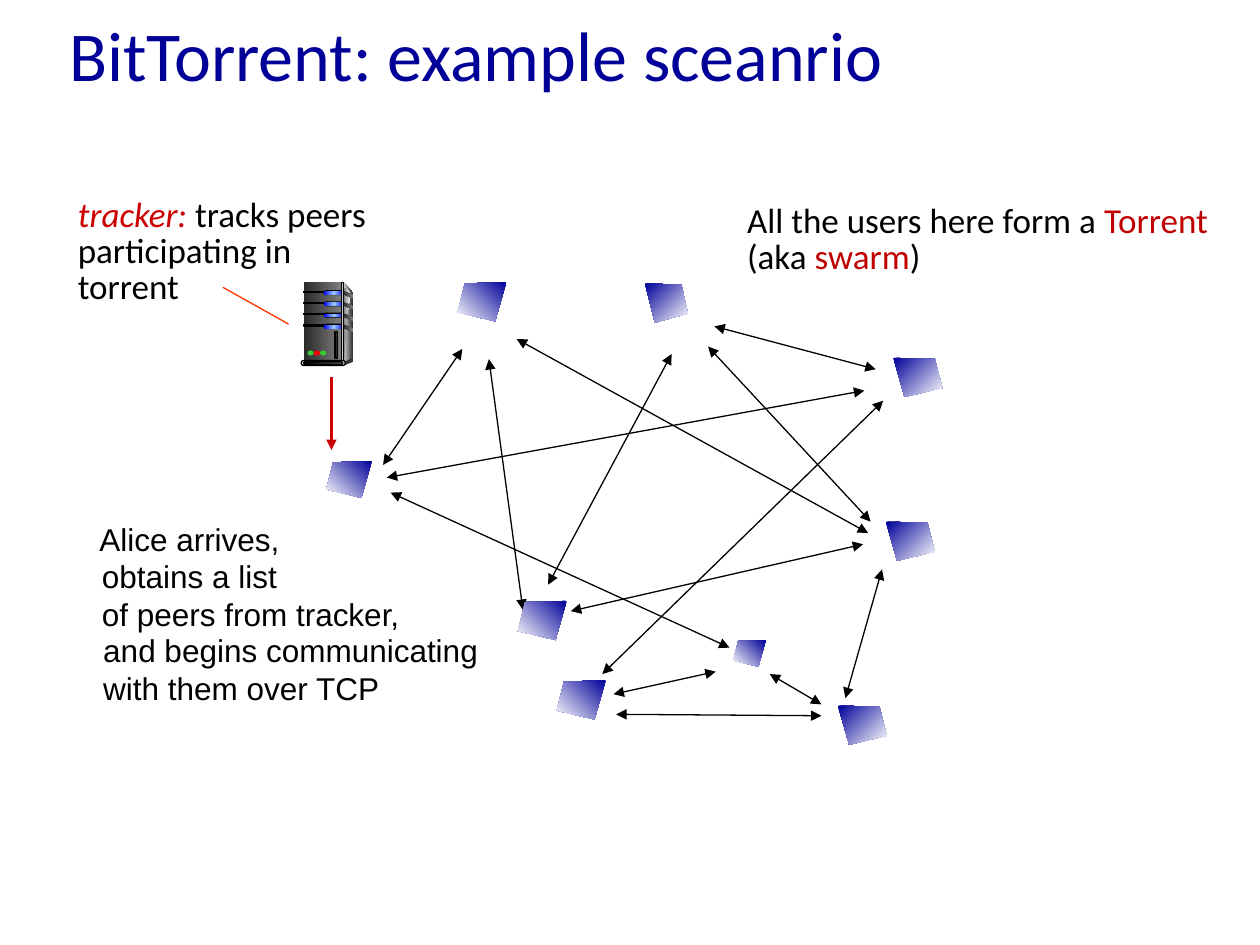
from copy import deepcopy
from pptx import Presentation
from pptx import util as u
from pptx.dml.color import RGBColor
from pptx.enum import shapes as sh, text as tx
from pptx.oxml import ns, xmlchemy as xm

Pt = u.Pt
BLACK, RED, NAVY = "000000", "CC0000", "000099"
VENT = ["292929", "808080"]

LINKS = [
    (115.2, 33.7, 316.1, 144.6), (99.4, 45.2, 118.8, 188.5),
    (320.4, 51, 228.2, 26.5), (324.7, 69, 164.2, 225.2),
    (229, 223.8, 170.6, 236.7), (203.8, 42.3, 133.2, 174.1),
    (146.2, 189.2, 313.2, 151), (224.6, 38, 317.5, 138.1),
    (259.9, 225.2, 289.4, 242.5), (172.1, 248.2, 289.4, 249),
    (324, 165.4, 303.1, 238.9), (38.9, 105.7, 84.2, 39.4),
    (41, 112.9, 313.9, 63.2), (43.2, 121.5, 236.9, 210.1),
]
PEERS = [
    (6.5, 103.5, 26, 21, False), (115.9, 183.4, 28, 22.4, False),
    (138.2, 228.8, 28, 22.4, False), (326.2, 138.1, 28, 22.4, True),
    (298.8, 243.2, 28, 22.4, True), (330.5, 44.5, 28, 22.4, True),
    (188.6, 2, 24.5, 22.4, True), (81.4, 1.3, 28, 22.4, False),
    (239, 205.8, 18.7, 15.1, False),
]


def color(code):
    """Turn a hex string into a colour."""
    return RGBColor.from_string(code)


def paint(shape, fills, angle=0, line=None):
    """Fill a shape with one colour or an even gradient, and set its outline."""
    shape.shadow.inherit = False
    fill = shape.fill
    if len(fills) == 1:
        fill.solid()
        fill.fore_color.rgb = color(fills[0])
    else:
        fill.gradient()
        fill.gradient_angle = angle
        stops = shape._element.spPr.find(".//" + ns.qn("a:gsLst"))
        while len(stops) < len(fills):
            stops.append(deepcopy(stops[0]))
        for i, (stop, code) in enumerate(zip(fill.gradient_stops, fills)):
            stop.color.rgb = color(code)
            stop.position = i / (len(fills) - 1)
    if line:
        shape.line.color.rgb = color(line)
        shape.line.width = Pt(0.75)
    else:
        shape.line.fill.background()


def solid(slide, kind, box, fills, line=None):
    """Add a painted preset shape."""
    shape = slide.shapes.add_shape(kind, *map(Pt, box))
    if kind == sh.MSO_SHAPE.ROUNDED_RECTANGLE:
        shape.adjustments[0] = 0.5
    paint(shape, fills, line=line)


def poly(slide, x, y, points, fills, angle=0):
    """Add a painted polygon with points relative to x, y."""
    spots = [(Pt(x + dx), Pt(y + dy)) for dx, dy in points]
    form = slide.shapes.build_freeform(*spots[0], scale=1.0)
    form.add_line_segments(spots[1:], close=True)
    paint(form.convert_to_shape(), fills, angle)


def link(slide, ends, code=BLACK, width=0.75, heads=("headEnd", "tailEnd")):
    """Add a straight line with the given arrowheads."""
    line = slide.shapes.add_connector(sh.MSO_CONNECTOR.STRAIGHT, *map(Pt, ends))
    line.line.color.rgb = color(code)
    line.line.width = Pt(width)
    for head in heads:
        mark = xm.OxmlElement("a:" + head)
        mark.set("type", "triangle")
        line.line._get_or_add_ln().append(mark)
    line._element.spPr.append(xm.OxmlElement("a:effectLst"))


def label(slide, box, paras, size, font, gap=None, anchor=tx.MSO_ANCHOR.TOP):
    """Add text whose paragraphs are lists of (words, colour, italic) runs."""
    frame = slide.shapes.add_textbox(*map(Pt, box)).text_frame
    frame.word_wrap = True
    frame.vertical_anchor = anchor
    for i, runs in enumerate(paras):
        para = frame.add_paragraph() if i else frame.paragraphs[0]
        if gap:
            para.line_spacing = gap
        for words, code, slant in runs:
            run = para.add_run()
            run.text = words
            run.font.name, run.font.size = font, Pt(size)
            run.font.color.rgb = color(code)
            run.font.italic = slant


def server(slide, x, y):
    """Draw the tracker's server tower."""
    rect, pill, oval = (sh.MSO_SHAPE.RECTANGLE, sh.MSO_SHAPE.ROUNDED_RECTANGLE,
                        sh.MSO_SHAPE.OVAL)

    def part(kind, box, fills, line=None):
        """Add one part of the tower."""
        left, top, wide, high = box
        solid(slide, kind, (x + left, y + top, wide, high), fills, line)

    poly(slide, x, y, [(24.5, 0), (29.5, 5.8), (29.5, 43.2), (23.8, 45.4)],
         ["DDDDDD", "333333"])
    part(rect, (1.4, 0, 22.3, 45.4), VENT)
    poly(slide, x, y, [(24.5, 2.9), (26, 3.4), (28.1, 6.5), (25.5, 24),
                       (24.5, 44.6)], ["808080", "F8F8F8"])
    rows = [5 + 6.4 * i for i in range(4)]
    for top in rows:
        part(rect, (1.4, top, 12.2, 0.7), [BLACK], BLACK)
        part(pill, (12.8, top - 0.6, 12.2, 2.9), [BLACK])
        part(pill, (13, top, 11.5, 2.2), ["0000FF", "99CCFF", "0000FF"])
    part(rect, (23, 0, 1.4, 45.4), ["333333", "DDDDDD", "333333"], BLACK)
    for top in rows:
        poly(slide, x, y + top, [(24.2, 0), (29.5, 2.1), (29.5, 4),
                                 (24.2, 1.8)], VENT)
    part(oval, (28.8, 43.2, 0.7, 2.2), ["333333"])
    poly(slide, x, y, [(24.5, 45.4), (24.5, 47.5), (29.5, 45.4), (29.5, 43.2)],
         ["333333"])
    part(pill, (0, 44.6, 25.2, 2.9), ["DDDDDD"], BLACK)
    part(pill, (1.4, 45.4, 22.3, 1.4), [BLACK, "808080"], BLACK)
    for i, code in enumerate(["33CC33", "FF0000", "33CC33"]):
        part(oval, (3.6 + 3.6 * i, 38.9, 3.6, 2.9), [code])
    part(rect, (19.4, 28.1, 1.4, 15.1), ["292929"], BLACK)


def peer(slide, x, y, wide, high, flip):
    """Draw one peer's screen, leaning left or mirrored."""
    quad = [(1, 0), (0.15, 0.03), (0, 0.77), (0.77, 1)]
    points = [((1 - a if flip else a) * wide, b * high) for a, b in quad]
    poly(slide, x, y, points, [NAVY, "FFFFFF"], 315 if flip else 225)


def swarm(slide, x, y):
    """Draw the peers and the links between them."""
    for x1, y1, x2, y2 in LINKS:
        link(slide, (x + x1, y + y1, x + x2, y + y2))
    for left, top, wide, high, flip in PEERS:
        peer(slide, x + left, y + top, wide, high, flip)


def tracker(slide, x, y):
    """Place the tracker's note, pointer, server and arrow."""
    label(slide, (x, y, 187, 70),
          [[("tracker:", RED, True), (" tracks peers", BLACK, False)],
           [("participating in torrent", BLACK, False)]], 20, "Calibri", 0.85)
    link(slide, (x + 90, y + 54, x + 127.5, y + 75), "FF3300", heads=())
    server(slide, x + 134.7, y + 51.2)
    link(slide, (x + 152, y + 105.2, x + 152, y + 147), RED, 1.5, ["tailEnd"])


def alice(slide, x, y):
    """Place the story of the arriving peer."""
    for dx, dy, wide, lines in [
            (0, 0, 119, ["Alice arrives,"]),
            (1.4, 20.9, 187, ["obtains a list", "of peers from tracker,"]),
            (2.2, 63.4, 234, ["and begins communicating with them over TCP"])]:
        label(slide, (x + dx, y + dy, wide, 28.8 if not dx else 51),
              [[(words, BLACK, False)] for words in lines], 18, "Arial")


def main():
    """Build and save the slide."""
    deck = Presentation()
    deck.slide_width, deck.slide_height = Pt(720), Pt(540)
    slide = deck.slides.add_slide(deck.slide_layouts[6])
    label(slide, (32.4, 0, 612, 61.2),
          [[("BitTorrent: example sceanrio", NAVY, False)]], 40, "Calibri",
          anchor=tx.MSO_ANCHOR.MIDDLE)
    label(slide, (419.8, 113.8, 279.4, 48.2),
          [[("All the users here form a ", BLACK, False),
            ("Torrent", "C00000", False), (" (aka ", BLACK, False),
            ("swarm", "C00000", False), (")", BLACK, False)]],
          20, "Calibri", 0.85)
    swarm(slide, 180, 160)
    tracker(slide, 37.4, 110.2)
    alice(slide, 49.7, 293.8)
    deck.save("out.pptx")


if __name__ == "__main__":
    main()
